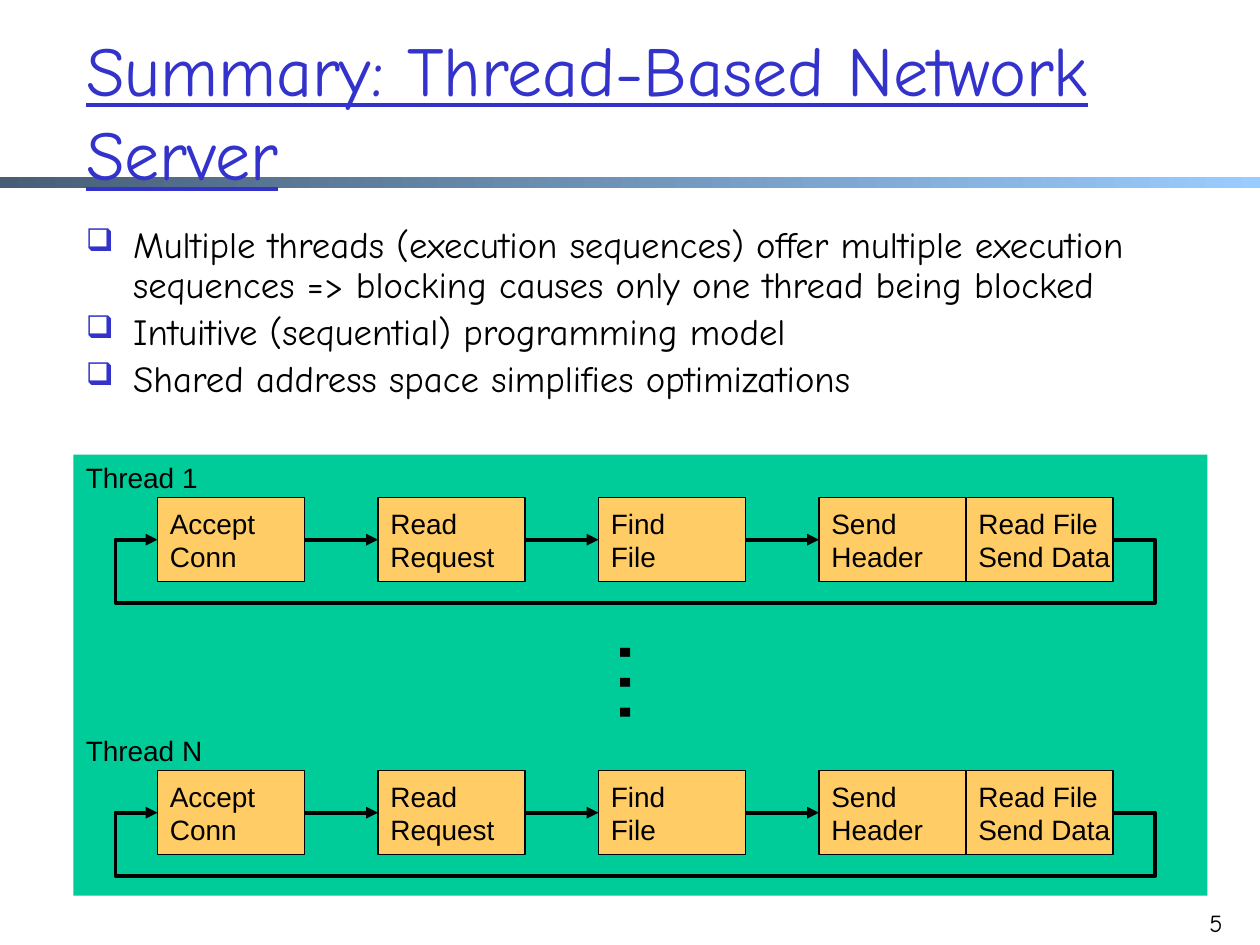
import pptx
import pptx.util
import pptx.dml.color
import pptx.enum.shapes
import pptx.enum.text
import pptx.oxml.ns
from lxml import etree

SCALE = 7620
HUES = {
    "ink": "000000",
    "blue": "3333CC",
    "green": "00CC99",
    "gold": "FFCC66",
    "dark": "475E76",
    "light": "99CCFF",
}
ANCHOR = pptx.enum.text.MSO_ANCHOR
LEFT = pptx.enum.text.PP_ALIGN.LEFT
LABEL = {"name": "Arial", "size": 16}
PROSE = {"name": "Comic Neue", "size": 21}


def px(n):
    return pptx.util.Emu(n * SCALE)


def hue(name):
    return pptx.dml.color.RGBColor.from_string(HUES[name])


def child(node, tag, **attrs):
    return etree.SubElement(node, pptx.oxml.ns.qn(tag), attrs)


class Deck:
    def __init__(self, wide, high):
        self.show = pptx.Presentation()
        self.show.slide_width, self.show.slide_height = px(wide), px(high)
        self.slide = self.show.slides.add_slide(self.show.slide_layouts[5])
        self.shapes = self.slide.shapes

    def label(self, shape, lines, font, color="ink", anchor=ANCHOR.TOP, wrap=True):
        frame = shape.text_frame
        frame.text = "\n".join(lines)
        style = {"word_wrap": wrap, "vertical_anchor": anchor,
                 "auto_size": pptx.enum.text.MSO_AUTO_SIZE.NONE}
        for key, value in style.items():
            setattr(frame, key, value)
        for para in frame.paragraphs:
            para.alignment = LEFT
            for run in para.runs:
                for key, value in font.items():
                    setattr(run.font, key, pptx.util.Pt(value) if key == "size" else value)
                run.font.color.rgb = hue(color)
        return shape

    def title(self, text, at):
        shape = self.shapes.title
        shape.left, shape.top, shape.width, shape.height = map(px, at)
        self.shapes._spTree.append(shape._element)
        font = {"name": "Comic Neue", "size": 40, "underline": True}
        self.label(shape, [text], font, "blue", ANCHOR.MIDDLE)

    def text(self, lines, at, font=LABEL, **more):
        return self.label(self.shapes.add_textbox(*map(px, at)), lines, font, **more)

    def list(self, items, at):
        shape = self.text(items, at, PROSE)
        for i, para in enumerate(shape.text_frame.paragraphs):
            para.line_spacing = 0.9
            if i:
                para.space_before = pptx.util.Pt(4.2)
            props = para._p.get_or_add_pPr()
            props.set("marL", str(px(45)))
            props.set("indent", str(px(-45)))
            child(child(props, "a:buClr"), "a:srgbClr", val=HUES["blue"])
            child(props, "a:buSzPct", val="85000")
            child(props, "a:buChar", char="❑")

    def rect(self, at):
        kind = pptx.enum.shapes.MSO_SHAPE.RECTANGLE
        shape = self.shapes.add_shape(kind, *map(px, at))
        shape.shadow.inherit = False
        shape.line.fill.background()
        return shape

    def panel(self, at, color):
        shape = self.rect(at)
        shape.fill.solid()
        shape.fill.fore_color.rgb = hue(color)
        return shape

    def bar(self, at):
        fill = self.rect(at).fill
        fill.gradient()
        fill.gradient_angle = 0
        for stop, place, color in zip(fill.gradient_stops, (0, 1), ("dark", "light")):
            stop.position = place
            stop.color.rgb = hue(color)

    def box(self, lines, at):
        shape = self.panel(at, "gold")
        self.stroke(shape, 0.75)
        return self.label(shape, lines, LABEL, anchor=ANCHOR.MIDDLE, wrap=False)

    def stroke(self, shape, width):
        shape.line.color.rgb = hue("ink")
        shape.line.width = pptx.util.Pt(width)

    def tip(self, shape):
        self.stroke(shape, 2.25)
        line = shape._element.spPr.find(pptx.oxml.ns.qn("a:ln"))
        child(line, "a:tailEnd", type="triangle")

    def arrow(self, first, last):
        kind = pptx.enum.shapes.MSO_CONNECTOR.STRAIGHT
        line = self.shapes.add_connector(kind, 0, 0, 0, 0)
        line.begin_connect(first, 3)
        line.end_connect(last, 1)
        self.tip(line)
        child(line._element.spPr, "a:effectLst")

    def loop(self, points):
        pen = self.shapes.build_freeform(*points[0], scale=SCALE)
        pen.add_line_segments(points[1:], close=False)
        shape = pen.convert_to_shape()
        shape.fill.background()
        shape.shadow.inherit = False
        self.tip(shape)


STEPS = [
    ("Accept", "Conn"),
    ("Read", "Request"),
    ("Find", "File"),
    ("Send", "Header"),
    ("Read File", "Send Data"),
]
LEFTS = [150, 360, 570, 780, 920]


def thread(deck, name, top):
    deck.text([name], (70, top, 134, 44), wrap=False)
    boxes = [deck.box(step, (left, top + 41, 140, 80))
             for step, left in zip(STEPS, LEFTS)]
    for first, last in zip(boxes[:3], boxes[1:4]):
        deck.arrow(first, last)
    mid, low = top + 81, top + 141
    deck.loop([(1060, mid), (1100, mid), (1100, low), (110, low), (110, mid), (150, mid)])


def main():
    deck = Deck(1200, 900)
    deck.bar((0, 169, 1200, 10))
    deck.title("Summary: Thread-Based Network Server", (70, 30, 1020, 150))
    deck.list([
        "Multiple threads (execution sequences) offer multiple execution "
        "sequences => blocking causes only one thread being blocked",
        "Intuitive (sequential) programming model",
        "Shared address space simplifies optimizations",
    ], (70, 210, 1020, 610))
    deck.text(["5"], (1140, 839, 60, 60), dict(PROSE, size=14), anchor=ANCHOR.BOTTOM)
    deck.panel((70, 433, 1080, 420), "green")
    for name, top in (("Thread 1", 433), ("Thread N", 693)):
        thread(deck, name, top)
    dots = deck.text(["…"], (570, 590, 114, 120), dict(LABEL, size=54), wrap=False)
    dots.rotation = 90
    deck.show.save("out.pptx")


if __name__ == "__main__":
    main()
